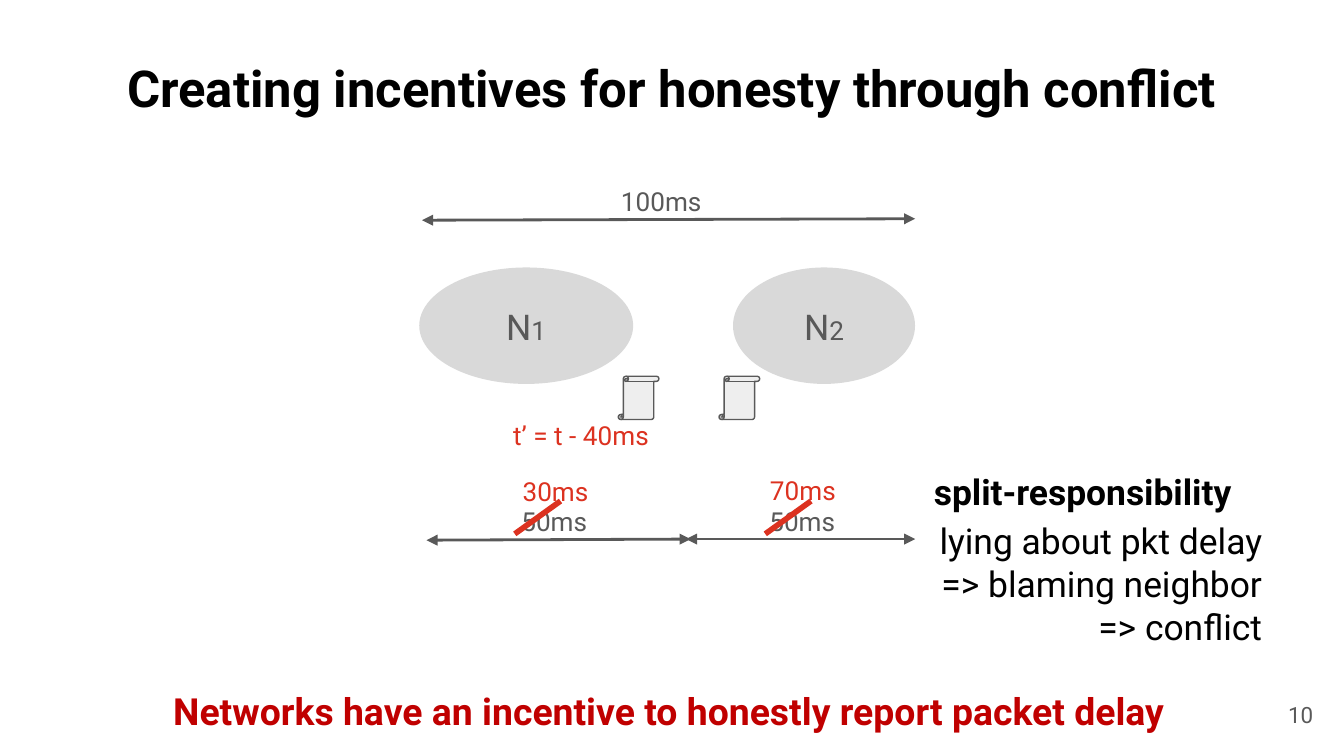
from dataclasses import dataclass

from lxml.etree import SubElement
from pptx import Presentation
from pptx.dml.color import RGBColor
from pptx.enum.shapes import MSO_CONNECTOR, MSO_SHAPE
from pptx.enum.text import MSO_ANCHOR, PP_ALIGN
from pptx.oxml.ns import qn
from pptx.util import Pt

FONT = "Roboto"
COLORS = {
    "black": "000000",
    "gray": "595959",
    "cloud": "D9D9D9",
    "paper": "EEEEEE",
    "red": "DC3220",
    "dark_red": "C00000",
}
ALIGN = {"l": PP_ALIGN.LEFT, "c": PP_ALIGN.CENTER, "r": PP_ALIGN.RIGHT}


@dataclass
class Network:
    number: str
    left: float
    width: float


@dataclass
class Arrow:
    x1: float
    y1: float
    x2: float
    y2: float


@dataclass
class Label:
    text: str
    left: float
    top: float
    width: float


def rgb(name: str) -> RGBColor:
    return RGBColor.from_string(COLORS[name])


def add_text(shapes, text: str, left: float, top: float, width: float,
             height: float = 31.5, *, size: float = 14, color: str = "gray",
             bold: bool = False, align: str = "l", middle: bool = False,
             small: str = "") -> None:
    """Add one line of text; `small` is a 14 pt ending."""
    sp = shapes.add_textbox(Pt(left), Pt(top), Pt(width), Pt(height))
    tf = sp.text_frame
    tf.word_wrap = True
    tf.margin_left = tf.margin_right = Pt(7.2)
    tf.margin_top = tf.margin_bottom = Pt(7.2)
    tf.vertical_anchor = MSO_ANCHOR.MIDDLE if middle else MSO_ANCHOR.TOP
    p = tf.paragraphs[0]
    p.alignment = ALIGN[align]
    for part, part_size in ((text, size), (small, 14)):
        if part:
            r = p.add_run()
            r.text = part
            r.font.name = FONT
            r.font.size = Pt(part_size)
            r.font.bold = bold
            r.font.color.rgb = rgb(color)


def add_arrow(shapes, a: Arrow) -> None:
    """Add a double-headed arrow."""
    cxn = shapes.add_connector(MSO_CONNECTOR.STRAIGHT,
                               Pt(a.x1), Pt(a.y1), Pt(a.x2), Pt(a.y2))
    cxn.line.color.rgb = rgb("gray")
    cxn.line.width = Pt(1.5)
    ln = cxn.line._get_or_add_ln()
    for end in ("a:headEnd", "a:tailEnd"):
        SubElement(ln, qn(end), type="triangle")
    SubElement(cxn._element.spPr, qn("a:effectLst"))


def add_filled(shapes, kind: MSO_SHAPE, left: float, top: float, width: float,
               height: float, fill: str, outlined: bool = False) -> None:
    sp = shapes.add_shape(kind, Pt(left), Pt(top), Pt(width), Pt(height))
    sp.shadow.inherit = False
    sp.fill.solid()
    sp.fill.fore_color.rgb = rgb(fill)
    if outlined:
        sp.line.color.rgb = rgb("gray")
        sp.line.width = Pt(0.75)
    else:
        sp.line.fill.background()


def add_strike(shapes, left: float, top: float) -> None:
    """Add the red stroke that crosses out a value."""
    fb = shapes.build_freeform(Pt(left), Pt(top + 17.6))
    fb.add_line_segments([(Pt(left + 24.5), Pt(top))], close=False)
    sp = fb.convert_to_shape()
    sp.shadow.inherit = False
    sp.fill.background()
    sp.line.color.rgb = rgb("red")
    sp.line.width = Pt(3)


prs = Presentation()
prs.slide_width, prs.slide_height = Pt(720), Pt(405)
s = prs.slides.add_slide(prs.slide_layouts[6])

# Title, page number and conclusion
add_text(s.shapes, "Creating incentives for honesty through conflict",
         24.5, 23, 671, 45.4, size=27.2, color="black", bold=True, align="c")
add_text(s.shapes, "10", 667.4, 367.2, 43.2, 31, size=12, align="r", middle=True)
add_text(s.shapes, "Networks have an incentive to honestly report packet delay",
         0, 361.4, 717, 39, size=20, color="dark_red", bold=True, align="c")

# Two networks with the total delay above and their receipts below
networks = s.shapes.add_group_shape().shapes
add_arrow(networks, Arrow(490.3, 117.2, 226.1, 118))
add_text(networks, "100ms", 226.1, 92.2, 256.3, align="c")
for n in (Network("1", 224.6, 114.6), Network("2", 392.7, 97.5)):
    add_filled(networks, MSO_SHAPE.OVAL, n.left, 143.3, n.width, 62.4, "cloud")
    add_text(networks, "N", n.left, 156.2, n.width, 37.4,
             size=19, align="c", small=n.number)
for left in (331.2, 385.2):
    add_filled(networks, MSO_SHAPE.VERTICAL_SCROLL, left, 201.6, 21.8, 23.2,
               "paper", outlined=True)

# Delay share of each network
shares = s.shapes.add_group_shape().shapes
for arrow in (Arrow(228.5, 289.4, 370, 288.8), Arrow(367.5, 288.8, 490.3, 288.8)):
    add_arrow(shares, arrow)
for left, width in ((226.1, 141.8), (370.1, 119.5)):
    add_text(shares, "50ms", left, 263.5, width, align="c")

# False claims that replace the shares
for left in (275.8, 410):
    add_strike(s.shapes, left, 268.4)
for c in (Label("30ms", 272.9, 247.4, 108), Label("70ms", 405.4, 247, 108),
          Label("t’ = t - 40ms", 267.8, 217.4, 145.4)):
    add_text(s.shapes, c.text, c.left, c.top, c.width, color="red")

# Consequence of lying
add_text(s.shapes, "split-responsibility", 493.2, 244.8, 220, 37.4,
         size=19, color="black", bold=True)
for i, step in enumerate(("lying about pkt delay", "=> blaming neighbor",
                          "=> conflict")):
    add_text(s.shapes, step, 439.2, 270.7 + 23.1 * i, 244, 37.4,
             size=19, color="black", align="r")

prs.save("out.pptx")
